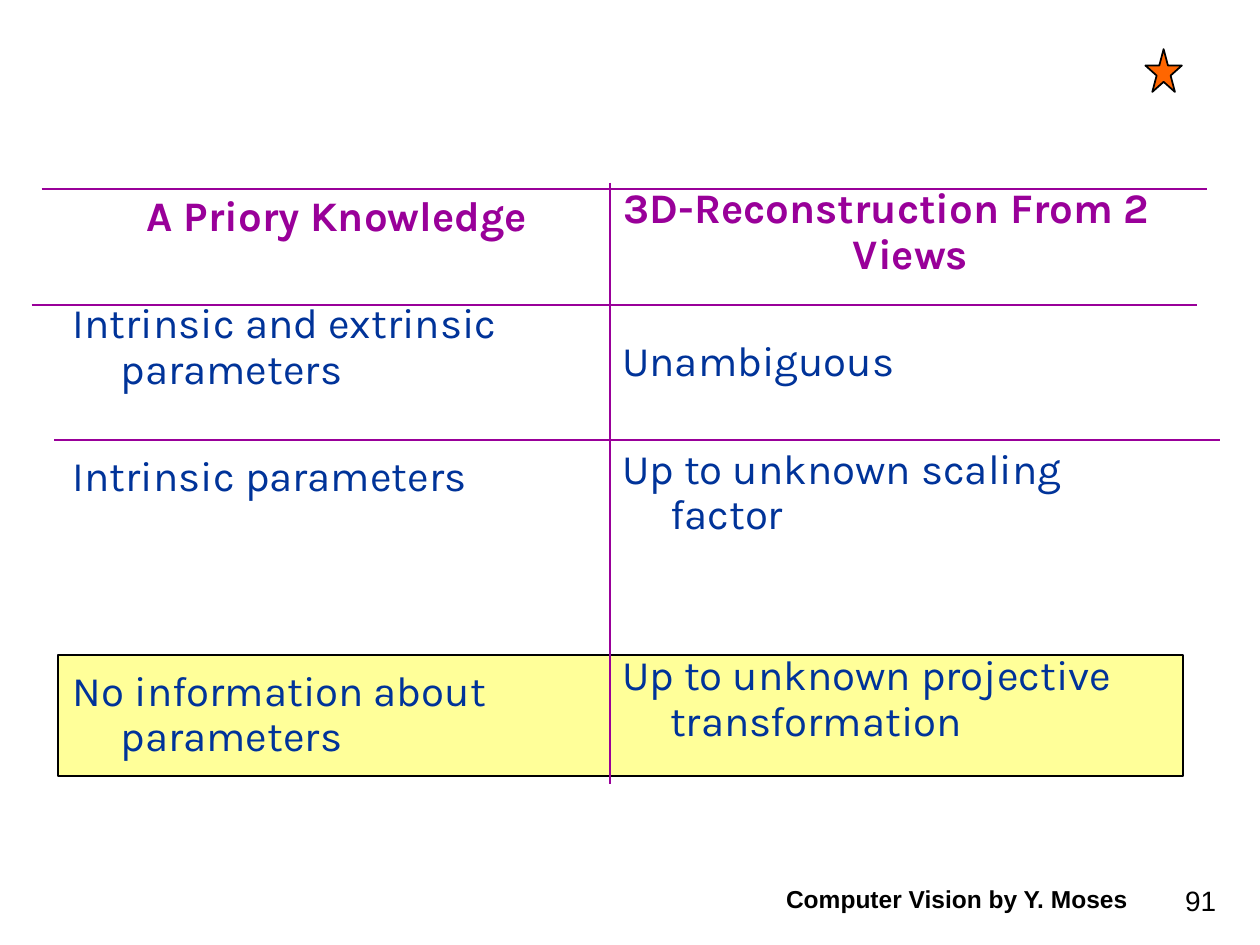
from dataclasses import dataclass

from lxml import etree
from pptx import Presentation
from pptx.dml.color import RGBColor
from pptx.enum.shapes import MSO_CONNECTOR, MSO_SHAPE
from pptx.enum.text import MSO_ANCHOR, PP_ALIGN
from pptx.oxml.ns import qn
from pptx.util import Inches, Pt

PURPLE, BLUE, BLACK = "990099", "003399", "000000"
YELLOW, ORANGE = "FFFF99", "FF6600"
SPACE_BEFORE = 4.8
ROW_STEP = 30.7
HANGING = Inches(0.38)
RULE_LENGTH = 9.25


@dataclass
class Box:
    left: float
    top: float
    width: float
    height: float

    def lengths(self) -> list:
        return [Inches(v) for v in (self.left, self.top, self.width, self.height)]


@dataclass
class Entry:
    text: str
    rows_skipped: int


@dataclass
class Column:
    box: Box
    header: str
    entries: list[Entry]


@dataclass
class Footer:
    box: Box
    text: str
    size: int
    bold: bool
    alignment: PP_ALIGN


COLUMNS = [
    Column(Box(0.48, 1.5, 4.39, 4.75), "A Priory Knowledge", [
        Entry("Intrinsic and extrinsic parameters", 1),
        Entry("Intrinsic parameters", 1),
        Entry("No information about parameters", 3),
    ]),
    Column(Box(4.84, 1.44, 4.39, 4.69), "3D-Reconstruction From 2 Views", [
        Entry("Unambiguous", 1),
        Entry("Up to unknown scaling factor", 1),
        Entry("Up to unknown projective transformation", 2),
    ]),
]
FOOTERS = [
    Footer(Box(7.67, 6.83, 2.08, 0.5), "91", 16, False, PP_ALIGN.RIGHT),
    Footer(Box(6.01, 6.8, 3.17, 0.5), "Computer Vision by Y. Moses", 14, True,
           PP_ALIGN.CENTER),
]
RULE_STARTS = [(0.25, 2.42), (0.33, 1.5), (0.43, 3.49)]


def color(value: str) -> RGBColor:
    return RGBColor.from_string(value)


def style(paragraph, font_name: str, size: int, hex_color: str, bold: bool) -> None:
    for run in paragraph.runs:
        run.font.name = font_name
        run.font.size = Pt(size)
        run.font.bold = bold
        run.font.color.rgb = color(hex_color)


def add_text_frame(slide, box: Box):
    text_frame = slide.shapes.add_textbox(*box.lengths()).text_frame
    text_frame.word_wrap = True
    return text_frame


def add_footer(slide, footer: Footer) -> None:
    text_frame = add_text_frame(slide, footer.box)
    text_frame.vertical_anchor = MSO_ANCHOR.BOTTOM
    text_frame.text = footer.text
    paragraph = text_frame.paragraphs[0]
    paragraph.alignment = footer.alignment
    style(paragraph, "Arial", footer.size, BLACK, footer.bold)


def add_column(slide, column: Column) -> None:
    text_frame = add_text_frame(slide, column.box)
    text_frame.text = "\n".join([column.header] + [e.text for e in column.entries])
    header, *body = text_frame.paragraphs
    for paragraph in text_frame.paragraphs:
        properties = paragraph._p.get_or_add_pPr()
        properties.set("marL", str(HANGING))
        properties.set("indent", str(-HANGING))
        paragraph.line_spacing = 0.9
    header.alignment = PP_ALIGN.CENTER
    style(header, "Karla", 24, PURPLE, True)
    for paragraph, entry in zip(body, column.entries):
        paragraph.alignment = PP_ALIGN.LEFT
        paragraph.space_before = Pt(SPACE_BEFORE + entry.rows_skipped * ROW_STEP)
        style(paragraph, "Karla", 24, BLUE, False)


def add_outlined_shape(slide, preset: MSO_SHAPE, box: Box, fill: str) -> None:
    shape = slide.shapes.add_shape(preset, *box.lengths())
    shape.shadow.inherit = False
    shape.fill.solid()
    shape.fill.fore_color.rgb = color(fill)
    shape.line.color.rgb = color(BLACK)
    shape.line.width = Pt(1)


def add_rule(slide, x1: float, y1: float, x2: float, y2: float) -> None:
    line = slide.shapes.add_connector(
        MSO_CONNECTOR.STRAIGHT, Inches(x1), Inches(y1), Inches(x2), Inches(y2))
    line.line.color.rgb = color(PURPLE)
    line.line.width = Pt(1)
    etree.SubElement(line._element.spPr, qn("a:effectLst"))


def main() -> None:
    presentation = Presentation()
    presentation.slide_width = Inches(10)
    presentation.slide_height = Inches(7.5)
    slide = presentation.slides.add_slide(presentation.slide_layouts[6])

    for footer in FOOTERS:
        add_footer(slide, footer)
    add_outlined_shape(slide, MSO_SHAPE.RECTANGLE, Box(0.46, 5.2, 8.93, 0.96), YELLOW)
    for column in COLUMNS:
        add_column(slide, column)
    add_rule(slide, 4.84, 1.45, 4.84, 6.22)
    for left, top in RULE_STARTS:
        add_rule(slide, left, top, left + RULE_LENGTH, top)
    add_outlined_shape(slide, MSO_SHAPE.STAR_5_POINT, Box(9.09, 0.39, 0.29, 0.34), ORANGE)

    presentation.save("out.pptx")


if __name__ == "__main__":
    main()
